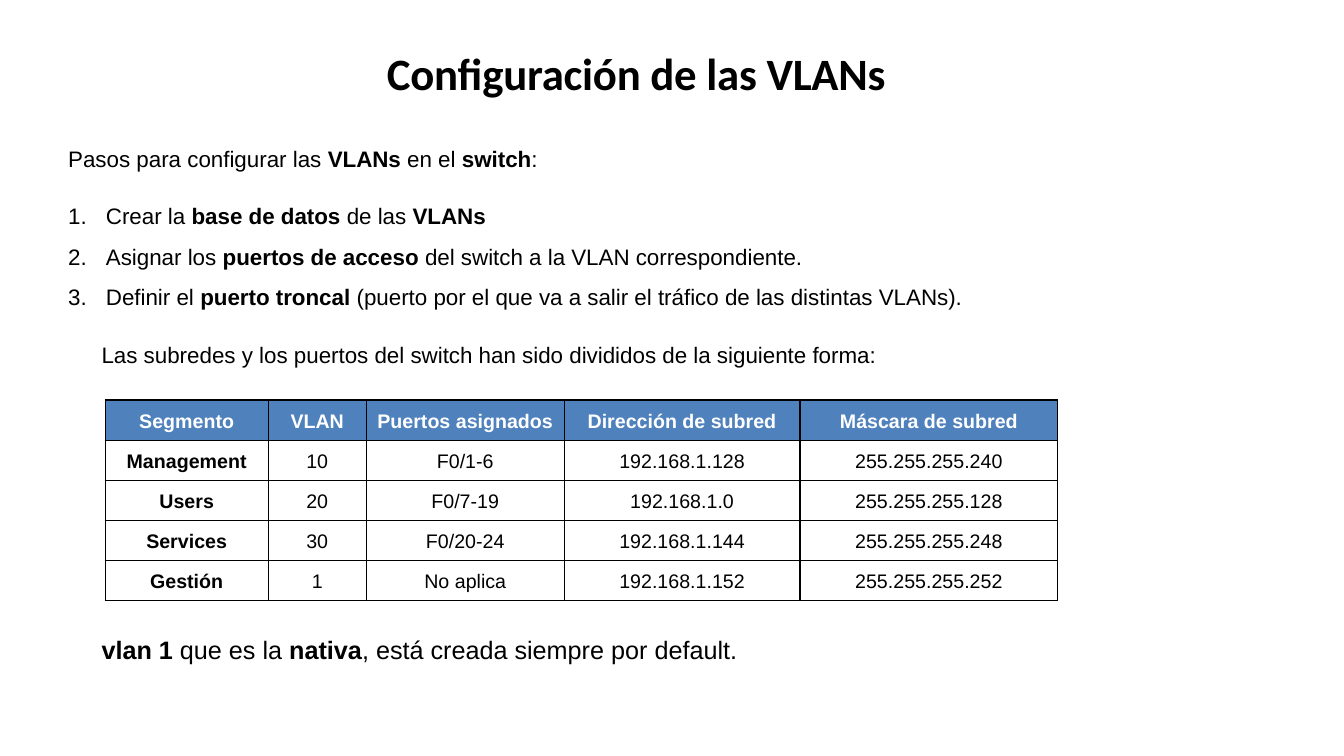
"""Build a slide on VLAN configuration with its steps and subnet table."""
from lxml.etree import SubElement
from pptx import Presentation
from pptx.dml.color import RGBColor
from pptx.enum.text import MSO_ANCHOR as Anchor, MSO_AUTO_SIZE as AutoSize, PP_ALIGN as Align
from pptx.oxml.ns import qn
from pptx.util import Cm, Pt

BLACK = RGBColor(0x00, 0x00, 0x00)
WHITE = RGBColor(0xFF, 0xFF, 0xFF)
HEADER_BLUE = RGBColor(0x4F, 0x81, 0xBD)


def write_runs(paragraph, marked_text, size, color=BLACK, name="Arial"):
    """Write text whose bold parts stand between asterisks."""
    for index, part in enumerate(marked_text.split("*")):
        if part:
            run = paragraph.add_run()
            run.text = part
            font_format = {"name": name, "size": Pt(size), "bold": index % 2 == 1}
            for attribute, value in font_format.items():
                setattr(run.font, attribute, value)
            run.font.color.rgb = color


def place(shape, left, top, width, height):
    """Set the position and size of a shape in centimetres."""
    box = {"left": left, "top": top, "width": width, "height": height}
    for attribute, value in box.items():
        setattr(shape, attribute, Cm(value))


presentation = Presentation()
presentation.slide_width, presentation.slide_height = Cm(33.87), Cm(19.05)
slide = presentation.slides.add_slide(presentation.slide_layouts[5])

title = slide.shapes.title
place(title, 9.75, 1.14, 14.35, 1.37)
title_format = {
    "margin_left": 0, "margin_right": 0, "margin_top": 0, "margin_bottom": 0,
    "vertical_anchor": Anchor.TOP, "word_wrap": True, "auto_size": AutoSize.NONE,
}
for attribute, value in title_format.items():
    setattr(title.text_frame, attribute, value)
title_paragraph = title.text_frame.paragraphs[0]
title_paragraph.alignment = Align.LEFT
write_runs(title_paragraph, "*Configuración de las VLANs*", 32, name="Calibri")
title_paragraph.runs[0].font._element.set("spc", "-20")

steps = [
    "Crear la *base de datos* de las *VLANs*",
    "Asignar los *puertos de acceso* del switch a la VLAN correspondiente.",
    "Definir el *puerto troncal* (puerto por el que va a salir el tráfico de las distintas VLANs).",
]
text_boxes = [
    ((1.47, 3.2, 26.24, 4.65), ["Pasos para configurar las *VLANs* en el *switch*:"] + steps, 16, 1.5, 12),
    ((2.31, 8.13, 23.29, 1.14),
     ["Las subredes y los puertos del switch han sido divididos de la siguiente forma:"], 16, 1.5, 6),
    ((2.31, 15.85, 17.02, 1.02),
     ["*vlan 1* que es la *nativa*, está creada siempre por default."], 18, 1, 0),
]
for box, lines, size, line_spacing, space_after in text_boxes:
    shape = slide.shapes.add_textbox(0, 0, 0, 0)
    place(shape, *box)
    frame = shape.text_frame
    frame.word_wrap = True
    for index, line in enumerate(lines):
        paragraph = frame.add_paragraph() if index else frame.paragraphs[0]
        paragraph.line_spacing = line_spacing
        paragraph.space_after = Pt(0 if index else space_after)
        if line in steps:
            properties = paragraph._p.get_or_add_pPr()
            properties.set("marL", str(Cm(0.95)))
            properties.set("indent", str(Cm(-0.95)))
            SubElement(properties, qn("a:buFont"), typeface="+mj-lt")
            SubElement(properties, qn("a:buAutoNum"), type="arabicPeriod")
        write_runs(paragraph, line, size)

subnets = [
    ("Segmento", "VLAN", "Puertos asignados", "Dirección de subred", "Máscara de subred"),
    ("Management", "10", "F0/1-6", "192.168.1.128", "255.255.255.240"),
    ("Users", "20", "F0/7-19", "192.168.1.0", "255.255.255.128"),
    ("Services", "30", "F0/20-24", "192.168.1.144", "255.255.255.248"),
    ("Gestión", "1", "No aplica", "192.168.1.152", "255.255.255.252"),
]
column_widths = [4.11, 2.47, 4.99, 5.94, 6.5]
row_height = 1.01
table = slide.shapes.add_table(
    len(subnets), len(column_widths), Cm(2.65), Cm(10.08),
    Cm(sum(column_widths)), Cm(row_height * len(subnets)),
).table
for column, width in zip(table.columns, column_widths):
    column.width = Cm(width)

cell_format = {
    "margin_left": 0, "margin_right": 0, "margin_top": 0, "margin_bottom": 0,
    "vertical_anchor": Anchor.MIDDLE,
}
for row_index, values in enumerate(subnets):
    table.rows[row_index].height = Cm(row_height)
    is_header = row_index == 0
    for column_index, value in enumerate(values):
        cell = table.cell(row_index, column_index)
        for attribute, setting in cell_format.items():
            setattr(cell, attribute, setting)
        cell_properties = cell._tc.get_or_add_tcPr()
        for side in ("a:lnL", "a:lnR", "a:lnT", "a:lnB"):
            border = SubElement(cell_properties, qn(side), w=str(Pt(1)))
            border_fill = SubElement(border, qn("a:solidFill"))
            SubElement(border_fill, qn("a:srgbClr"), val=str(BLACK))
        if is_header:
            cell.fill.solid()
            cell.fill.fore_color.rgb = HEADER_BLUE
        else:
            cell.fill.background()
        paragraph = cell.text_frame.paragraphs[0]
        paragraph.alignment = Align.CENTER
        paragraph.line_spacing = Pt(18)
        is_bold = is_header or column_index == 0
        write_runs(paragraph, f"*{value}*" if is_bold else value, 14, WHITE if is_header else BLACK)

presentation.save("out.pptx")
